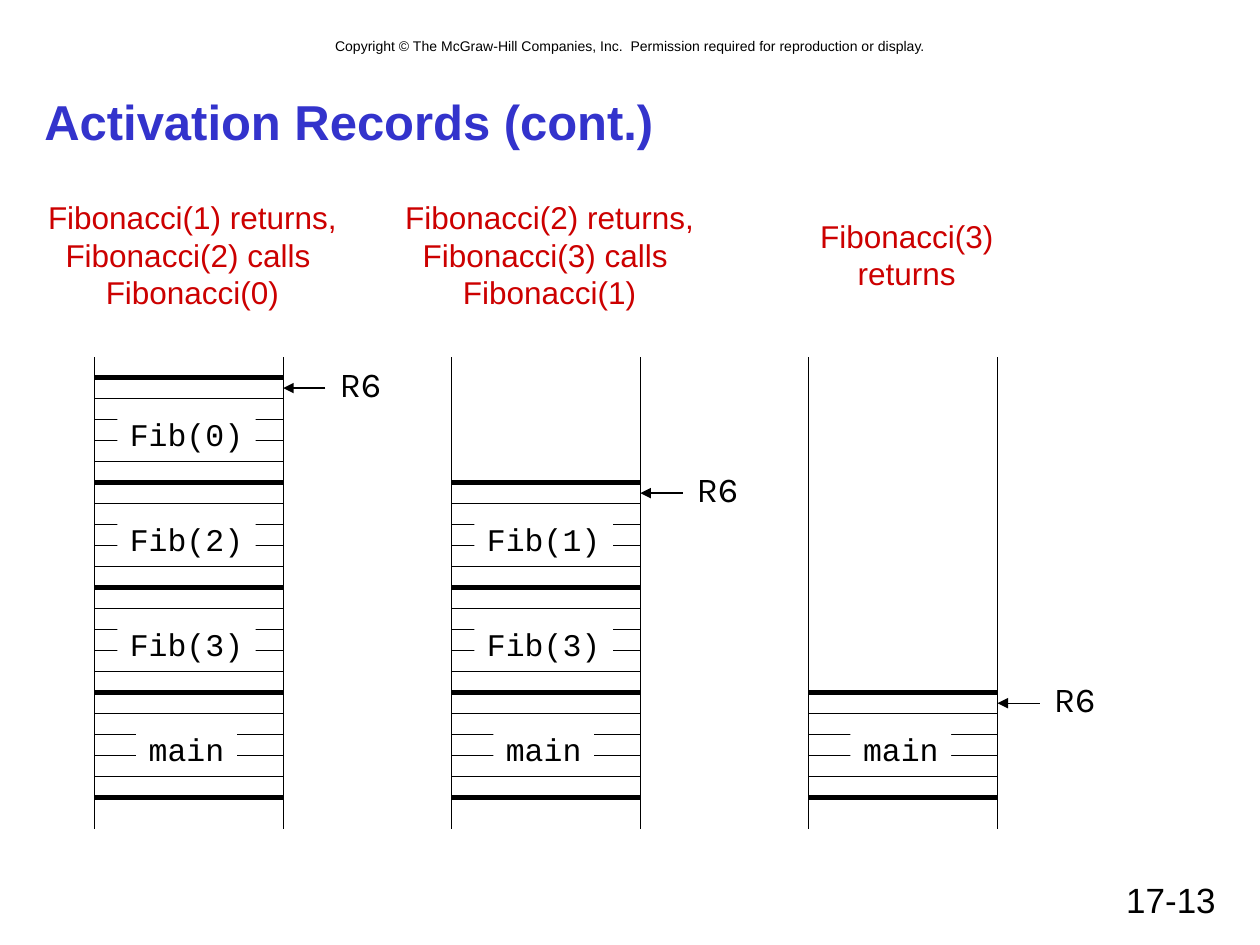
from dataclasses import dataclass

from lxml.etree import SubElement
from pptx import Presentation
from pptx.dml.color import RGBColor
from pptx.enum.shapes import MSO_CONNECTOR as Link, MSO_SHAPE as Kind
from pptx.enum.text import MSO_ANCHOR as Anchor, MSO_AUTO_SIZE as Fit, PP_ALIGN as Align
from pptx.oxml.ns import qn
from pptx.shapes.autoshape import Shape
from pptx.shapes.connector import Connector
from pptx.slide import Slide
from pptx.text.text import TextFrame
from pptx.util import Cm, Pt

COLORS = {"ink": "000000", "title": "3333CC", "call": "CC0000", "paper": "FFFFFF"}

ROW = 2.54 / 6          # one memory cell, cm
CELLS = 5               # cells in one activation record
WIDE = 3.81             # distance between the walls of a stack
LEFT, PITCH = 1.9, 7.2
TOP, FLOOR, BASE = 7.2, 16.72, 16.08
THIN, THICK = 0.75, 3


@dataclass(frozen=True)
class Style:
    size: float
    font: str = "Arial"
    color: str = "ink"
    bold: bool = False
    align: Align = Align.CENTER


@dataclass(frozen=True)
class Stack:
    """One snapshot of memory; records run from the bottom up."""
    call: str
    width: float
    records: tuple[str, ...]


STACKS = [
    Stack("Fibonacci(1) returns,\vFibonacci(2) calls \vFibonacci(0)", 6.4,
          ("main", "Fib(3)", "Fib(2)", "Fib(0)")),
    Stack("Fibonacci(2) returns,\vFibonacci(3) calls \vFibonacci(1)", 6.4,
          ("main", "Fib(3)", "Fib(1)")),
    Stack("Fibonacci(3)\vreturns", 4.1, ("main",)),
]

HEAD = Style(28, color="title", bold=True, align=Align.LEFT)
CALL = Style(18, color="call")
CODE = Style(18, "Courier New")
REG = Style(20, "Karla")


def rgb(name: str) -> RGBColor:
    return RGBColor.from_string(COLORS[name])


def write(frame: TextFrame, text: str, style: Style) -> None:
    frame.text = text
    for para in frame.paragraphs:
        para.alignment = style.align
        for run in para.runs:
            font = run.font
            font.size, font.name, font.bold = Pt(style.size), style.font, style.bold
            font.color.rgb = rgb(style.color)


def add_text(slide: Slide, x: float, y: float, w: float, h: float,
             text: str, style: Style, wrap: bool = False) -> Shape:
    box = slide.shapes.add_textbox(Cm(x), Cm(y), Cm(w), Cm(h))
    write(box.text_frame, text, style)
    box.text_frame.word_wrap = wrap
    return box


def add_line(slide: Slide, x1: float, y1: float, x2: float, y2: float,
             width: float = THIN) -> Connector:
    line = slide.shapes.add_connector(Link.STRAIGHT, Cm(x1), Cm(y1), Cm(x2), Cm(y2))
    line.line.color.rgb = rgb("ink")
    line.line.width = Pt(width)
    SubElement(line._element.spPr, qn("a:effectLst"))
    return line


def add_label(slide: Slide, mid: float, y: float, text: str) -> None:
    """Record name on a white patch that hides the cell lines behind it."""
    w = 0.51 + 0.38 * len(text)
    box = slide.shapes.add_shape(Kind.RECTANGLE, Cm(mid - w / 2), Cm(y), Cm(w), Cm(1.02))
    box.shadow.inherit = False
    box.fill.solid()
    box.fill.fore_color.rgb = rgb("paper")
    box.line.fill.background()
    write(box.text_frame, text, CODE)
    box.text_frame.word_wrap = False
    box.text_frame.vertical_anchor = Anchor.TOP


def add_pointer(slide: Slide, wall: float, y: float) -> None:
    """R6 with its arrow to the first cell of the newest record."""
    arrow = add_line(slide, wall + 0.85, y, wall, y)
    SubElement(arrow.line._get_or_add_ln(), qn("a:tailEnd"), type="triangle")
    box = add_text(slide, wall + 0.88, y - 0.64, 1.35, 1.12, "R6", REG)
    for latin in box._element.iter(qn("a:latin")):
        latin.set("pitchFamily", "49")  # fixed width


def add_stack(slide: Slide, x: float, stack: Stack) -> None:
    high = 0.25 + 0.76 * (stack.call.count("\v") + 1)
    call = add_text(slide, x + 1.98 - stack.width / 2, 5.13 - high / 2,
                    stack.width, high, stack.call, CALL)
    call.text_frame.vertical_anchor = Anchor.MIDDLE

    wall = x + WIDE
    for side in (x, wall):
        add_line(slide, side, TOP, side, FLOOR)
    count = CELLS * len(stack.records)
    for step in range(count + 1):
        y = BASE - step * ROW
        add_line(slide, x, y, wall, y, THIN if step % CELLS else THICK)
    for i, name in enumerate(stack.records, 1):
        add_label(slide, x + 1.86, BASE - (i * CELLS - 1.5) * ROW, name)
    add_pointer(slide, wall, BASE - (count - 0.5) * ROW)


def main() -> None:
    deck = Presentation()
    deck.slide_width, deck.slide_height = Cm(25.4), Cm(19.05)
    slide = deck.slides.add_slide(deck.slide_layouts[5])

    title = slide.shapes.title
    title.left, title.top, title.width, title.height = Cm(0.64), Cm(1.7), Cm(24.13), Cm(1.47)
    write(title.text_frame, "Activation Records (cont.)", HEAD)
    title.text_frame.vertical_anchor = Anchor.MIDDLE
    title.text_frame.auto_size = Fit.NONE

    add_text(slide, 1.7, 0.64, 22.02, 0.61,
             "Copyright © The McGraw-Hill Companies, Inc.  "
             "Permission required for reproduction or display.", Style(8), True)
    add_text(slide, 18.21, 17.58, 6.55, 1.07, "17-13", Style(20, align=Align.RIGHT), True)

    for i, stack in enumerate(STACKS):
        add_stack(slide, LEFT + i * PITCH, stack)
    deck.save("out.pptx")


if __name__ == "__main__":
    main()
